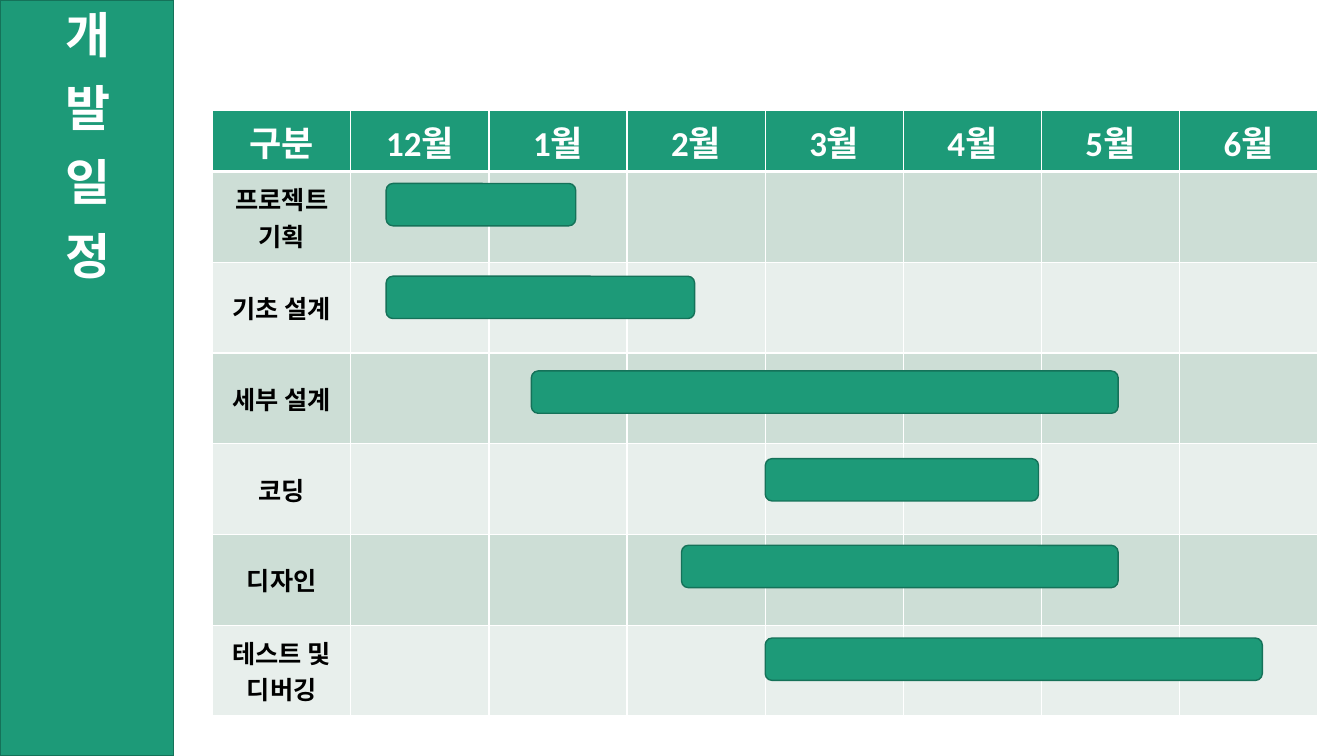
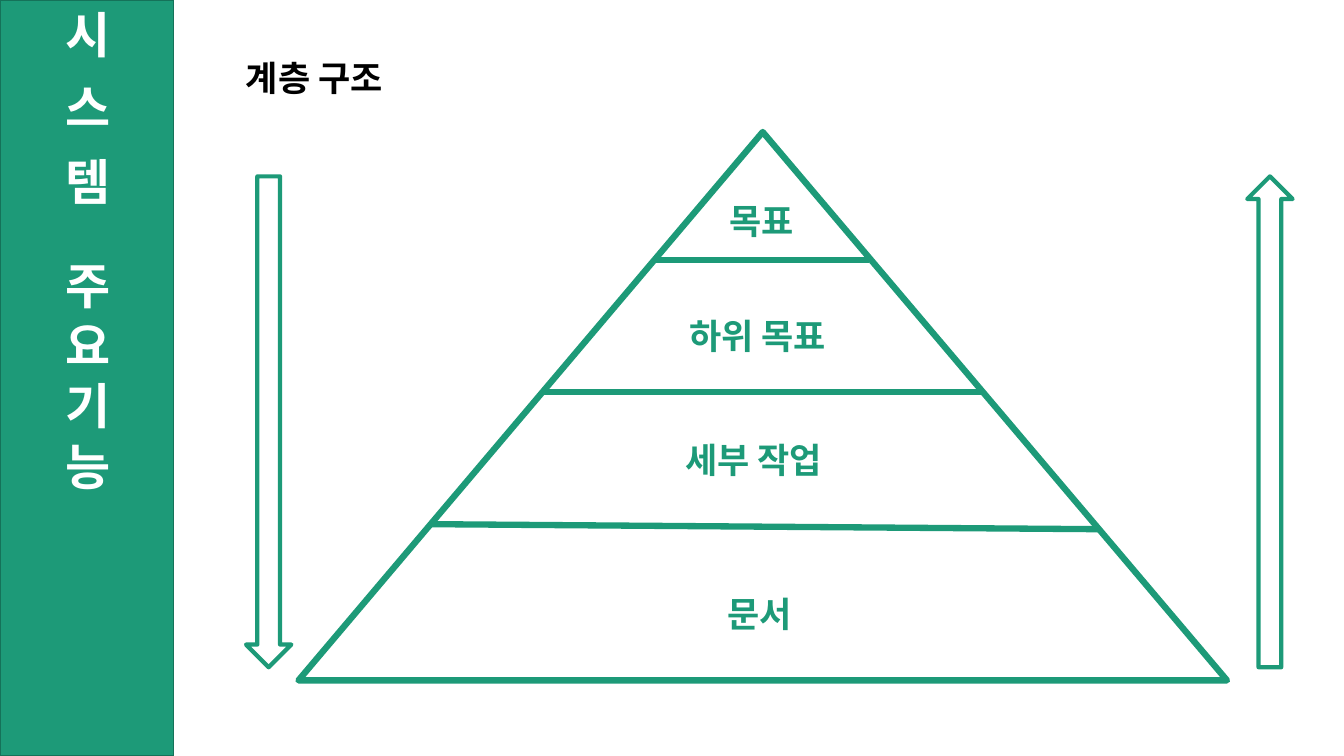
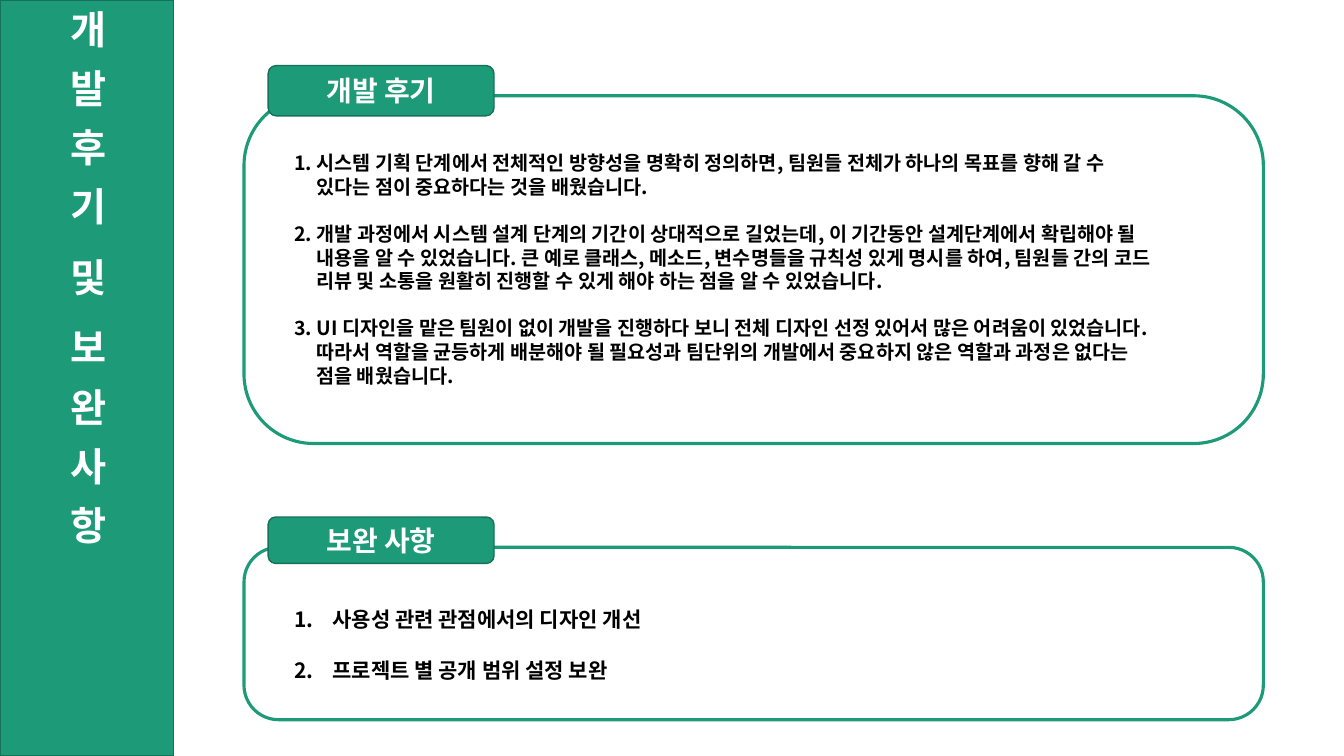
import pptx
import pptx.dml.color
import pptx.enum.shapes
import pptx.enum.text
import pptx.oxml.ns
import pptx.util
from lxml import etree

Inches = pptx.util.Inches
Pt = pptx.util.Pt
PRESET = pptx.enum.shapes.MSO_SHAPE
ALIGN = pptx.enum.text.PP_ALIGN
ANCHOR = pptx.enum.text.MSO_ANCHOR

COLORS = {
    "green": "1D9A78",
    "edge": "157259",
    "white": "FFFFFF",
    "black": "000000",
    "band_dark": "CDDED6",
    "band_light": "E8EFEC",
}
LATIN = "Calibri"
HANGUL = "Noto Sans CJK KR"


def rgb(name):
    return pptx.dml.color.RGBColor.from_string(COLORS[name])


def add_xml(parent, tag, **attributes):
    return etree.SubElement(parent, pptx.oxml.ns.qn(tag), attributes)


def write(paragraph, text, *, size, color="black", font=LATIN, align=ALIGN.LEFT, spacing=0):
    paragraph.alignment = align
    run = paragraph.add_run()
    run.text = text
    run.font.size = Pt(size)
    run.font.bold = True
    run.font.name = font
    run.font.color.rgb = rgb(color)
    properties = run.font._element
    if font == HANGUL:
        add_xml(properties, "a:ea", typeface=font)
    if spacing:
        properties.set("spc", str(round(spacing * 100)))


class Deck:
    def __init__(self):
        self.presentation = pptx.Presentation()
        self.presentation.slide_width = Inches(13.33)
        self.presentation.slide_height = Inches(7.5)
        self.slide = None

    def start(self, title_runs, size):
        self.slide = self.presentation.slides.add_slide(self.presentation.slide_layouts[6])
        band = self.shape(PRESET.RECTANGLE, 0, 0, 1.72, 7.5)
        frame = band.text_frame
        frame.vertical_anchor = ANCHOR.MIDDLE
        frame._txBody.bodyPr.set("vert", "eaVert")
        for text, spacing in title_runs:
            write(frame.paragraphs[0], text, size=size, color="white", font=HANGUL, spacing=spacing)

    def shape(self, preset, left, top, width, height, fill="green", line="edge", weight=1):
        shape = self.slide.shapes.add_shape(
            preset, Inches(left), Inches(top), Inches(width), Inches(height))
        shape.shadow.inherit = False
        if fill:
            shape.fill.solid()
            shape.fill.fore_color.rgb = rgb(fill)
        else:
            shape.fill.background()
        shape.line.color.rgb = rgb(line)
        shape.line.width = Pt(weight)
        return shape

    def outline(self, preset, left, top, width, height, weight):
        return self.shape(preset, left, top, width, height, None, "green", weight)

    def bar(self, left, top, width, height):
        bar = self.shape(PRESET.ROUNDED_RECTANGLE, left, top, width, height)
        bar.adjustments[0] = 0.16
        return bar

    def panel(self, heading, top, height, tab_height):
        frame = self.outline(PRESET.ROUNDED_RECTANGLE, 2.42, top, 10.11, height, 2.25)
        frame.adjustments[0] = 0.2
        tab = self.bar(2.66, top - 0.3, 2.24, tab_height)
        tab.text_frame.vertical_anchor = ANCHOR.MIDDLE
        write(tab.text_frame.paragraphs[0], heading, size=20, color="white", align=ALIGN.CENTER)

    def line(self, start, end):
        line = self.slide.shapes.add_connector(
            pptx.enum.shapes.MSO_CONNECTOR.STRAIGHT, *(Inches(value) for value in start + end))
        line.line.color.rgb = rgb("green")
        line.line.width = Pt(4.5)
        add_xml(line._element.spPr, "a:effectLst")

    def text_frame(self, left, top, width, height):
        box = self.slide.shapes.add_textbox(
            Inches(left), Inches(top), Inches(width), Inches(height))
        box.text_frame.word_wrap = True
        return box.text_frame

    def label(self, text, left, top, width, color="green"):
        frame = self.text_frame(left, top, width, 0.52)
        write(frame.paragraphs[0], text, size=25, color=color)

    def paragraphs(self, frame, texts):
        for index, text in enumerate(texts):
            yield (frame.add_paragraph() if index else frame.paragraphs[0]), text

    def notes(self, items, left, top, width, height):
        frame = self.text_frame(left, top, width, height)
        lines = [(text, index) for item in items for index, text in enumerate(item)]
        for paragraph, (text, index) in self.paragraphs(frame, lines):
            if index:
                paragraph._p.get_or_add_pPr().set("indent", str(Inches(0.22)))
            elif text != items[0][0]:
                paragraph.space_before = Pt(17)
            write(paragraph, text, size=14, font=HANGUL)

    def numbered(self, texts, left, top, width, height):
        frame = self.text_frame(left, top, width, height)
        for paragraph, text in self.paragraphs(frame, texts):
            paragraph.line_spacing = 2.0
            properties = paragraph._p.get_or_add_pPr()
            properties.set("marL", str(Inches(0.38)))
            properties.set("indent", str(-Inches(0.38)))
            add_xml(properties, "a:buFont", typeface="+mj-lt")
            add_xml(properties, "a:buAutoNum", type="arabicPeriod")
            write(paragraph, text, size=15, font=HANGUL)

    def cell(self, cell, text, fill, size, color, bottom=1):
        if text:
            write(cell.text_frame.paragraphs[0], text, size=size, color=color, align=ALIGN.CENTER)
        properties = cell._tc.get_or_add_tcPr()
        for side, weight in (("L", 1), ("R", 1), ("T", 1), ("B", bottom)):
            border = add_xml(properties, f"a:ln{side}", w=str(Pt(weight)))
            add_xml(add_xml(border, "a:solidFill"), "a:srgbClr", val=COLORS["white"])
        cell.fill.solid()
        cell.fill.fore_color.rgb = rgb(fill)

    def schedule(self, headings, tasks, left, top, column_width, header_height, row_height):
        table = self.slide.shapes.add_table(
            len(tasks) + 1, len(headings), Inches(left), Inches(top),
            Inches(column_width * len(headings)),
            Inches(header_height + row_height * len(tasks))).table
        for column, heading in enumerate(headings):
            table.columns[column].width = Inches(column_width)
            self.cell(table.cell(0, column), heading, "green", 25, "white", bottom=3)
        table.rows[0].height = Inches(header_height)
        for row, task in enumerate(tasks, 1):
            table.rows[row].height = Inches(row_height)
            band = "band_dark" if row % 2 else "band_light"
            for column in range(len(headings)):
                cell = table.cell(row, column)
                cell.vertical_anchor = ANCHOR.MIDDLE
                self.cell(cell, "" if column else task, band, 18, "black")


def build_schedule(deck):
    deck.start([("개 발 일 정", 4.9)], 35)
    periods = {
        "프로젝트 기획": (3.83, 1.82, 1.88),
        "기초 설계": (3.83, 2.74, 3.06),
        "세부 설계": (5.27, 3.68, 5.82),
        "코딩": (7.59, 4.55, 2.71),
        "디자인": (6.76, 5.41, 4.33),
        "테스트 및 디버깅": (7.59, 6.33, 4.93),
    }
    months = [f"{month}월" for month in (12, 1, 2, 3, 4, 5, 6)]
    deck.schedule(["구분"] + months, list(periods), 2.11, 1.1, 1.37, 0.49, 0.9)
    for left, top, width in periods.values():
        deck.bar(left, top, width, 0.42)


def build_hierarchy(deck):
    deck.start([("시 스 템", 4.9), (" ", 26), ("주 요 기 능", 0)], 35)
    deck.outline(PRESET.ISOSCELES_TRIANGLE, 2.96, 1.31, 9.21, 5.44, 4.5)
    for start, end in (
        ((6.5, 2.58), (8.62, 2.58)),
        ((5.39, 3.89), (9.76, 3.89)),
        ((4.27, 5.2), (10.91, 5.25)),
    ):
        deck.line(start, end)
    deck.label("계층 구조", 2.34, 0.51, 1.81, "black")
    for level, left, top, width in (
        ("목표", 7.14, 1.93, 0.9),
        ("하위 목표", 6.74, 3.07, 1.83),
        ("세부 작업", 6.7, 4.3, 1.71),
        ("문서", 7.12, 5.83, 0.95),
    ):
        deck.label(level, left, top, width)
    for arrow, left in ((PRESET.DOWN_ARROW, 2.44), (PRESET.UP_ARROW, 12.37)):
        deck.outline(arrow, left, 1.75, 0.45, 4.87, 3)


def build_review(deck):
    word_gap = (" ", 12.4)
    deck.start([("개 발 후 기", 3.9), word_gap, ("및", 3.9), word_gap, ("보 완 사 항", 3.9)], 28)
    deck.panel("개발 후기", 0.95, 3.45, 0.5)
    deck.notes([
        ("1. 시스템 기획 단계에서 전체적인 방향성을 명확히 정의하면, 팀원들 전체가 하나의 목표를 향해 갈 수",
         "있다는 점이 중요하다는 것을 배웠습니다."),
        ("2. 개발 과정에서 시스템 설계 단계의 기간이 상대적으로 길었는데, 이 기간동안 설계단계에서 확립해야 될",
         "내용을 알 수 있었습니다. 큰 예로 클래스, 메소드, 변수명들을 규칙성 있게 명시를 하여, 팀원들 간의 코드",
         "리뷰 및 소통을 원활히 진행할 수 있게 해야 하는 점을 알 수 있었습니다."),
        ("3. UI 디자인을 맡은 팀원이 없이 개발을 진행하다 보니 전체 디자인 선정 있어서 많은 어려움이 있었습니다.",
         "따라서 역할을 균등하게 배분해야 될 필요성과 팀단위의 개발에서 중요하지 않은 역할과 과정은 없다는",
         "점을 배웠습니다."),
    ], 2.82, 1.45, 8.93, 2.46)
    deck.panel("보완 사항", 5.43, 1.71, 0.46)
    deck.numbered(["사용성 관련 관점에서의 디자인 개선", "프로젝트 별 공개 범위 설정 보완"],
                  2.82, 5.72, 9.71, 1.03)


def main():
    deck = Deck()
    build_schedule(deck)
    build_hierarchy(deck)
    build_review(deck)
    deck.presentation.save("out.pptx")


if __name__ == "__main__":
    main()
